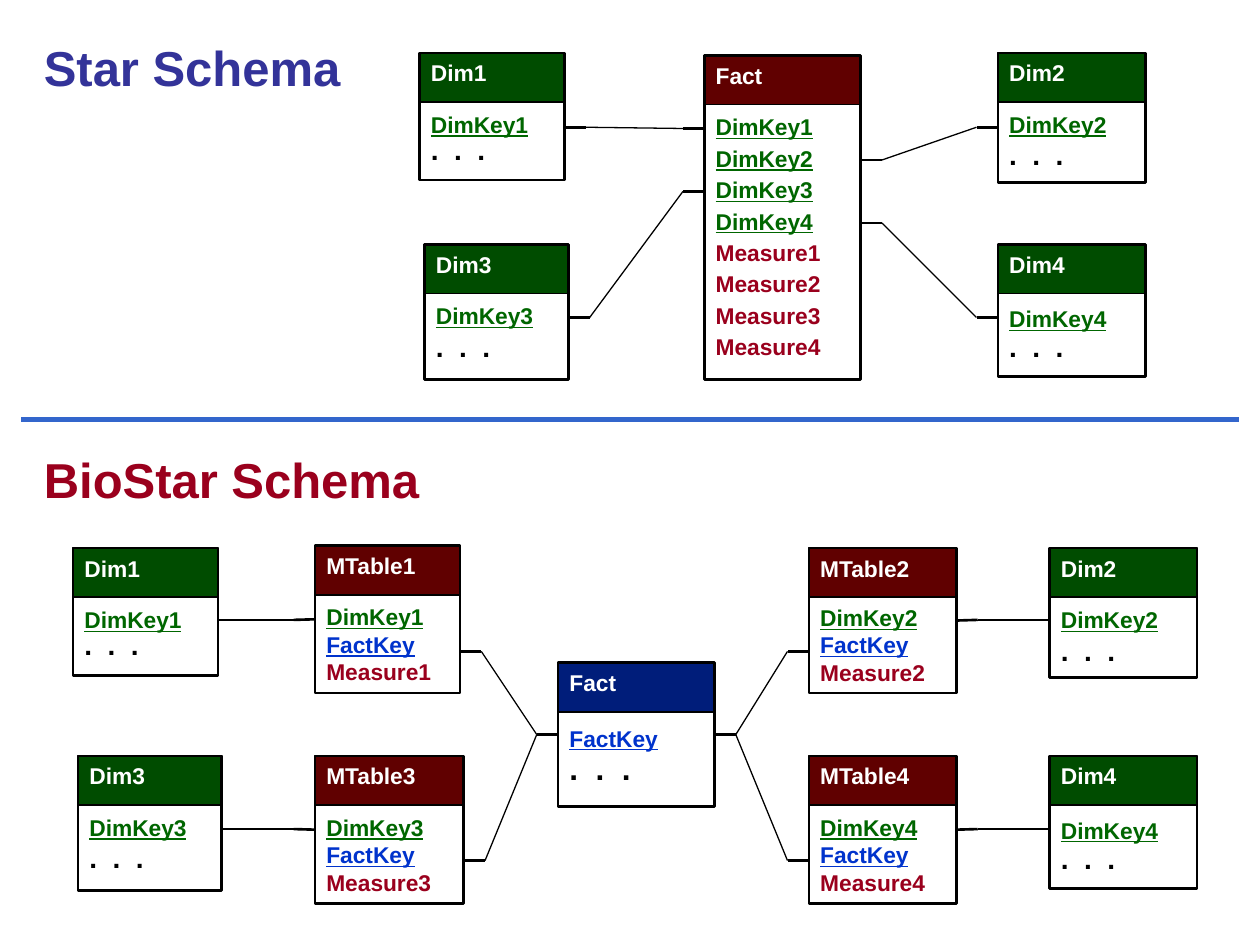
from lxml import etree
from pptx import Presentation
from pptx.dml.color import RGBColor
from pptx.enum.shapes import MSO_CONNECTOR as CONN, MSO_SHAPE as SHAPE
from pptx.enum.text import MSO_ANCHOR as ANCHOR, PP_ALIGN as ALIGN
from pptx.oxml.ns import qn
from pptx.util import Inches, Pt

GREEN, MAROON, NAVY = "004C00", "600000", "001D7A"
RED, BLACK = "9A001D", "000000"
HEADER_H, STUB = 0.39, 0.17
LEFT, RIGHT = 1, 3
DOTS = ".  .  ."
ROW_FORMATS = {
    "DimKey": {"color": "006600", "underline": True},
    "FactKey": {"color": "0033CC", "underline": True},
    "Measure": {"color": RED},
    ".": {"color": BLACK, "size": 16},
}


def add_text(p, text, **fmt):
    r = p.add_run()
    r.text = text
    fmt = {"size": 13, "name": "Arial", "bold": True, **fmt}
    r.font.color.rgb = RGBColor.from_string(fmt.pop("color"))
    fmt["size"] = Pt(fmt["size"])
    for key, value in fmt.items():
        setattr(r.font, key, value)


def add_line(x1, y1, x2, y2, weight, color=BLACK):
    c = s.shapes.add_connector(CONN.STRAIGHT, *map(Inches, (x1, y1, x2, y2)))
    c.line.width = Pt(weight)
    c.line.color.rgb = RGBColor.from_string(color)
    etree.SubElement(c._element.spPr, qn("a:effectLst"))
    return c


prs = Presentation()
prs.slide_width, prs.slide_height = Inches(10), Inches(7.5)
s = prs.slides.add_slide(prs.slide_layouts[6])

for text, y, w, color in [("Star Schema", 0.25, 2.67, "333399"),
                          ("BioStar Schema", 3.52, 3.25, RED)]:
    tf = s.shapes.add_textbox(*map(Inches, (0.25, y, w, 0.57))).text_frame
    tf.word_wrap = True
    add_text(tf.paragraphs[0], text, size=28, color=color)

add_line(0.17, 3.33, 9.83, 3.33, 3, "3366CC")

# Tables: name, header colour, (x, y, w, h), gap below the header text in points,
# rows, line spacing of each row
star_rows = [f"{kind}{n}" for kind in ("DimKey", "Measure") for n in range(1, 5)]
star_tables = [("Fact", MAROON, (5.59, 0.44, 1.24, 2.57), 11.5, star_rows, [1.15] * 8)]
bio_tables = [("Fact", NAVY, (4.43, 5.26, 1.24, 1.14), 13.8, ["FactKey", DOTS], [1.15, 0.95])]

dim_sizes = [(1.15, 1.01), (1.17, 1.03), (1.14, 1.07), (1.17, 1.05)]
dim_spacings = [[1, 0.85], [1, 1], [1, 1], [1.1, 0.95]]
star_places = [(3.33, 0.42), (7.92, 0.42), (3.37, 1.94), (7.92, 1.94)]
bio_places = [(0.58, 4.35), (8.33, 4.35), (0.62, 6), (8.33, 6)]
measure_boxes = [(2.5, 4.33, 1.15, 1.17), (6.42, 4.35, 1.17, 1.15),
                 (2.5, 6, 1.18, 1.17), (6.42, 6, 1.17, 1.17)]
for i in range(4):
    n = i + 1
    for tables, places in ((star_tables, star_places), (bio_tables, bio_places)):
        tables.append((f"Dim{n}", GREEN, places[i] + dim_sizes[i], 13.8,
                       [f"DimKey{n}", DOTS], dim_spacings[i]))
    bio_tables.append((f"MTable{n}", MAROON, measure_boxes[i], 12.7 if n == 2 else 13.8,
                       [f"DimKey{n}", "FactKey", f"Measure{n}"], [1, 1, 1]))

# Links: pairs of (table, side, height of the joined row)
star_links = [
    (("Dim1", RIGHT, 1.01), ("Fact", LEFT, 1.02)),
    (("Dim2", LEFT, 1.01), ("Fact", RIGHT, 1.27)),
    (("Dim3", RIGHT, 2.52), ("Fact", LEFT, 1.52)),
    (("Dim4", LEFT, 2.52), ("Fact", RIGHT, 1.77)),
]
bio_links = []
for n, key_y, fact_y in [(1, 4.92, 5.17), (2, 4.92, 5.17), (3, 6.58, 6.83), (4, 6.58, 6.83)]:
    inner, outer = (RIGHT, LEFT) if n % 2 else (LEFT, RIGHT)
    bio_links += [((f"Dim{n}", inner, key_y), (f"MTable{n}", outer, key_y)),
                  ((f"MTable{n}", inner, fact_y), ("Fact", outer, 5.83))]

for tables, links in ((star_tables, star_links), (bio_tables, bio_links)):
    frames = {}
    for name, header, (x, y, w, h), gap, rows, spacings in tables:
        for height, weight in ((HEADER_H, 1), (h, 1.5)):
            sp = s.shapes.add_shape(SHAPE.RECTANGLE, *map(Inches, (x, y, w, height)))
            sp.shadow.inherit = False
            sp.line.color.rgb = RGBColor.from_string(BLACK)
            sp.line.width = Pt(weight)
            if height == HEADER_H:
                sp.fill.solid()
                sp.fill.fore_color.rgb = RGBColor.from_string(header)
            else:
                sp.fill.background()
        frames[name] = sp, x, y, w, h

        tf = sp.text_frame
        tf.word_wrap = True
        tf.vertical_anchor = ANCHOR.TOP
        tf.margin_left = tf.margin_right = Inches(0.09)
        p = tf.paragraphs[0]
        p.alignment = ALIGN.LEFT
        p.space_after = Pt(gap)
        add_text(p, name, color="FFFFFF")
        for row, spacing in zip(rows, spacings):
            p = tf.add_paragraph()
            p.alignment = ALIGN.LEFT
            p.line_spacing = spacing
            fmt = dict(ROW_FORMATS["." if row == DOTS else row.rstrip("1234")])
            if row == DOTS and name == "Fact":
                fmt["size"] = 18
            add_text(p, row, **fmt)

    stub_ends = {}
    for link in links:
        for port in link:
            if port in stub_ends:
                continue
            name, side, row_y = port
            sp, x, y, w, h = frames[name]
            edge, end = (x, x - STUB) if side == LEFT else (x + w, x + w + STUB)
            stub = add_line(edge, row_y, end, row_y, 1.5)
            if abs(y + h / 2 - row_y) < 0.01:
                stub.begin_connect(sp, side)
            stub_ends[port] = end, row_y
        add_line(*stub_ends[link[0]], *stub_ends[link[1]], 0.75)

prs.save("out.pptx")
